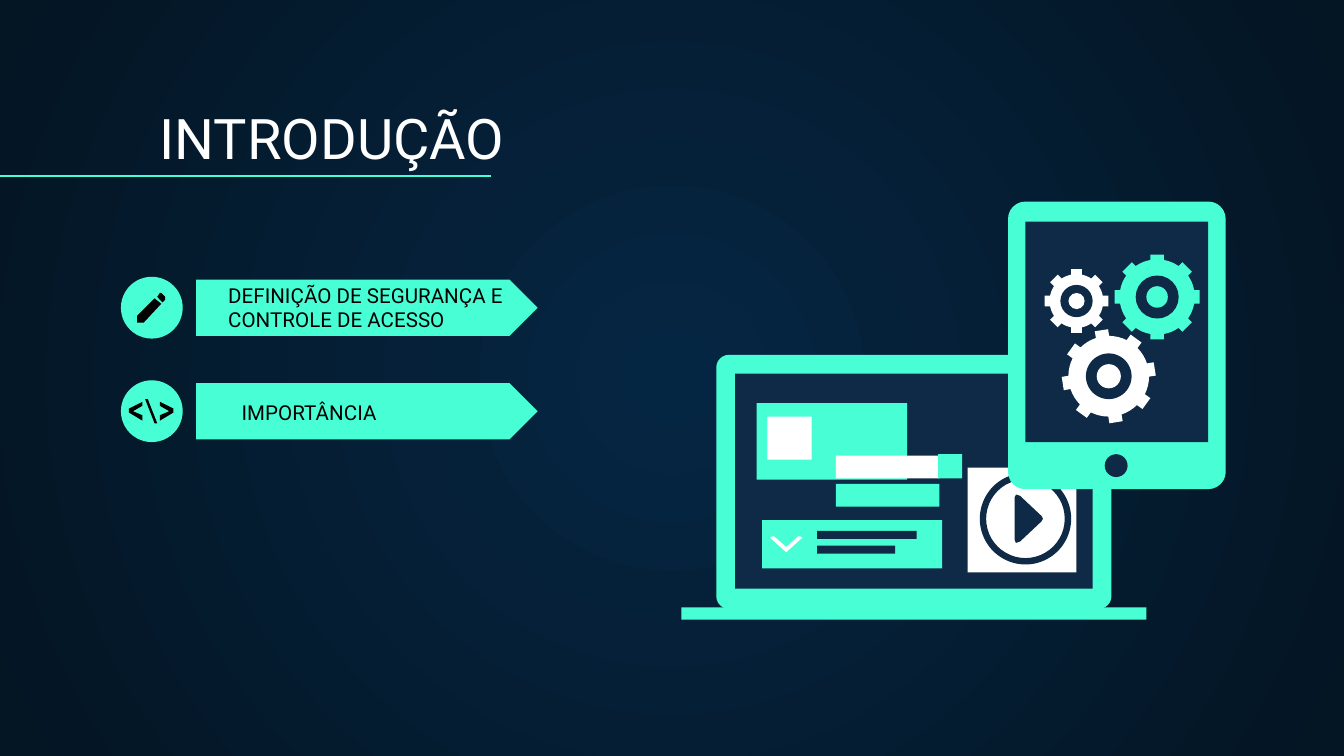
import math
import pptx
import pptx.dml.color
import pptx.enum.shapes
import pptx.enum.text
import pptx.oxml
import pptx.oxml.ns
import pptx.util

Inches = pptx.util.Inches
Kind = pptx.enum.shapes.MSO_SHAPE
qn = pptx.oxml.ns.qn


class Theme:
    mint = pptx.dml.color.RGBColor.from_string("48FFD5")
    navy = pptx.dml.color.RGBColor.from_string("0E2A47")
    white = pptx.dml.color.RGBColor.from_string("FFFFFF")
    black = pptx.dml.color.RGBColor.from_string("000000")
    glow = pptx.dml.color.RGBColor.from_string("052643")
    edge = pptx.dml.color.RGBColor.from_string("041523")
    font = "Roboto"
    title = pptx.util.Pt(30)
    label = pptx.util.Pt(11)
    rule = pptx.util.Pt(0.75)


def paint(shape, color):
    shape.shadow.inherit = False
    shape.fill.solid()
    shape.fill.fore_color.rgb = color
    shape.line.fill.background()


def write(text, box, size=Theme.label, color=Theme.black):
    frame = shapes.add_textbox(*map(Inches, box)).text_frame
    frame.word_wrap = True
    frame.auto_size = pptx.enum.text.MSO_AUTO_SIZE.NONE
    frame.vertical_anchor = pptx.enum.text.MSO_ANCHOR.BOTTOM
    frame.margin_left = frame.margin_right = Inches(0.1)
    frame.margin_top = frame.margin_bottom = Inches(0.1)
    run = frame.paragraphs[0].add_run()
    run.text = text
    run.font.name = Theme.font
    run.font.size = size
    run.font.color.rgb = color


deck = pptx.Presentation()
deck.slide_width = Inches(10)
deck.slide_height = Inches(10) * 9 // 16
slide = deck.slides.add_slide(deck.slide_layouts[6])
shapes = slide.shapes

back = slide.background.fill
back.gradient()
for stop, color in zip(back.gradient_stops, (Theme.glow, Theme.edge)):
    stop.color.rgb = color
back.gradient_stops[0].position = 0
back.gradient_stops[1].position = 1
grad = next(slide.element.iter(qn("a:gradFill")))
grad.remove(grad.find(qn("a:lin")))
grad.append(pptx.oxml.parse_xml(
    f'<a:path {pptx.oxml.ns.nsdecls("a")} path="circle">'
    '<a:fillToRect l="50000" t="50000" r="50000" b="50000"/></a:path>'))

line = shapes.add_connector(pptx.enum.shapes.MSO_CONNECTOR.STRAIGHT,
                            Inches(0), Inches(1.31), Inches(3.65), Inches(1.31))
line.line.color.rgb = Theme.mint
line.line.width = Theme.rule
line._element.spPr.append(pptx.oxml.parse_xml(
    f'<a:effectLst {pptx.oxml.ns.nsdecls("a")}/>'))

parts = []
for top in (2.08, 2.85):
    parts += [(Kind.PENTAGON, 1.46, top, 2.54, 0.42, Theme.mint, 0.5),
              (Kind.OVAL, 0.9, top - 0.02, 0.46, 0.46, Theme.mint, None)]

box, disc, card = Kind.RECTANGLE, Kind.OVAL, Kind.ROUNDED_RECTANGLE
parts += [
    (card, 5.33, 2.64, 2.94, 1.89, Theme.mint, 0.05),
    (box, 5.47, 2.78, 2.66, 1.6, Theme.navy, None),
    (box, 5.07, 4.52, 3.46, 0.09, Theme.mint, None),
    (box, 5.63, 3, 1.12, 0.57, Theme.mint, None),
    (box, 5.71, 3.1, 0.33, 0.32, Theme.white, None),
    (box, 5.67, 3.87, 1.34, 0.36, Theme.mint, None),
    (box, 6.08, 3.95, 0.74, 0.06, Theme.navy, None),
    (box, 6.08, 4.06, 0.58, 0.06, Theme.navy, None),
    (box, 6.22, 3.6, 0.77, 0.17, Theme.mint, None),
    (box, 6.22, 3.39, 0.77, 0.17, Theme.white, None),
    (box, 6.98, 3.38, 0.18, 0.18, Theme.mint, None),
    (box, 7.2, 3.48, 0.81, 0.78, Theme.white, None),
    (Kind.DONUT, 7.29, 3.52, 0.68, 0.68, Theme.navy, 0.07),
    (card, 7.5, 1.5, 1.62, 2.14, Theme.mint, 0.08),
    (box, 7.63, 1.65, 1.36, 1.64, Theme.navy, None),
    (disc, 8.22, 3.38, 0.17, 0.17, Theme.navy, None),
]
for kind, left, top, wide, high, color, bend in parts:
    part = shapes.add_shape(kind, *map(Inches, (left, top, wide, high)))
    paint(part, color)
    if bend is not None:
        part.adjustments[0] = bend

angle = [(1.06, 2.99), (0.96, 3.04), (0.96, 3.07), (1.06, 3.13),
         (1.06, 3.09), (0.99, 3.06), (1.06, 3.02)]
forms = [
    ([(1.19, 2.18), (1.2, 2.18), (1.23, 2.21), (1.23, 2.23), (1.21, 2.25),
      (1.17, 2.21)], Theme.black),
    ([(1.15, 2.22), (1.02, 2.35), (1.02, 2.4), (1.07, 2.4), (1.2, 2.26)],
     Theme.black),
    (angle, Theme.black),
    ([(2.25 - x, y) for x, y in angle], Theme.black),
    ([(1.08, 2.97), (1.1, 2.97), (1.17, 3.15), (1.15, 3.15)], Theme.black),
    ([(5.73, 4), (5.75, 3.99), (5.76, 3.99), (5.85, 4.07), (5.94, 3.99),
      (5.95, 3.99), (5.97, 4), (5.96, 4.01), (5.86, 4.1), (5.85, 4.11),
      (5.84, 4.1), (5.74, 4.01)], Theme.white),
    ([(7.55, 3.7), (7.56, 3.68), (7.59, 3.69), (7.75, 3.84), (7.76, 3.86),
      (7.75, 3.88), (7.59, 4.03), (7.56, 4.04), (7.55, 4.02)], Theme.navy),
]

gears = [
    (8.61, 2.21, 0.32, 0.28, 0.05, 0.16, 0.08, 0, Theme.mint),
    (8.01, 2.24, 0.24, 0.2, 0.04, 0.12, 0.06, 0, Theme.white),
    (8.25, 2.8, 0.35, 0.3, 0.05, 0.17, 0.09, -9, Theme.white),
]
for x, y, tip, body, half, hole, core, turn, color in gears:
    base, crown = math.asin(half / body), math.asin(half / tip)
    gap = math.pi / 4 - 2 * base
    tooth = [(body, -base), (tip, -crown), (tip, crown)]
    tooth += [(body, base + gap * step / 4) for step in range(4)]
    turns = [math.radians(turn + 45 * count) for count in range(8)]
    forms.append(([(x + far * math.cos(start + swing),
                    y + far * math.sin(start + swing))
                   for start in turns for far, swing in tooth], color))

for points, color in forms:
    (first, *rest) = [(Inches(x), Inches(y)) for x, y in points]
    form = shapes.build_freeform(*first)
    form.add_line_segments(rest)
    paint(form.convert_to_shape(), color)

for x, y, tip, body, half, hole, core, turn, color in gears:
    for far, tone in ((hole, Theme.navy), (core, color)):
        ring = shapes.add_shape(disc, Inches(x - far), Inches(y - far),
                                Inches(2 * far), Inches(2 * far))
        paint(ring, tone)

write("INTRODUÇÃO", (1.09, 0.71, 8.57, 0.66), size=Theme.title, color=Theme.white)
write("DEFINIÇÃO DE SEGURANÇA E CONTROLE DE ACESSO", (1.6, 2, 2.27, 0.57))
write("IMPORTÂNCIA", (1.7, 3.05, 2.27, 0.21))

deck.save("out.pptx")
